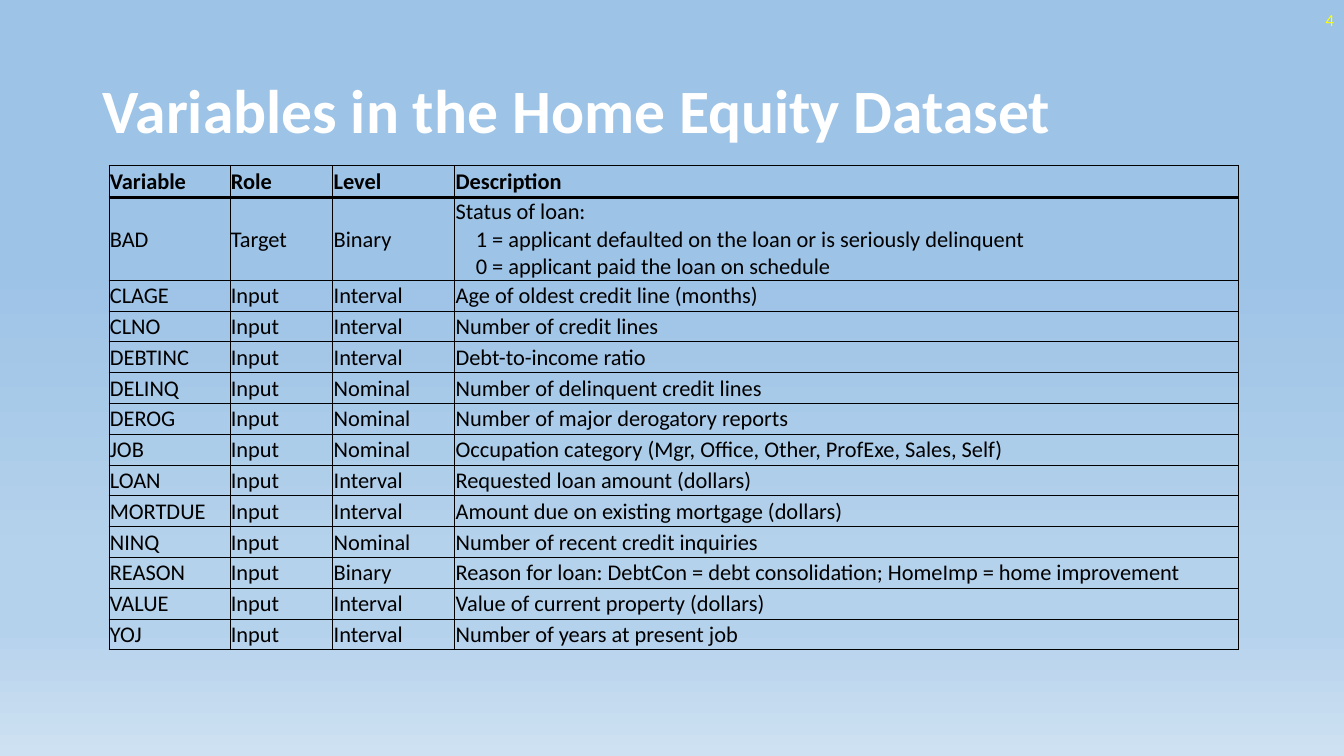
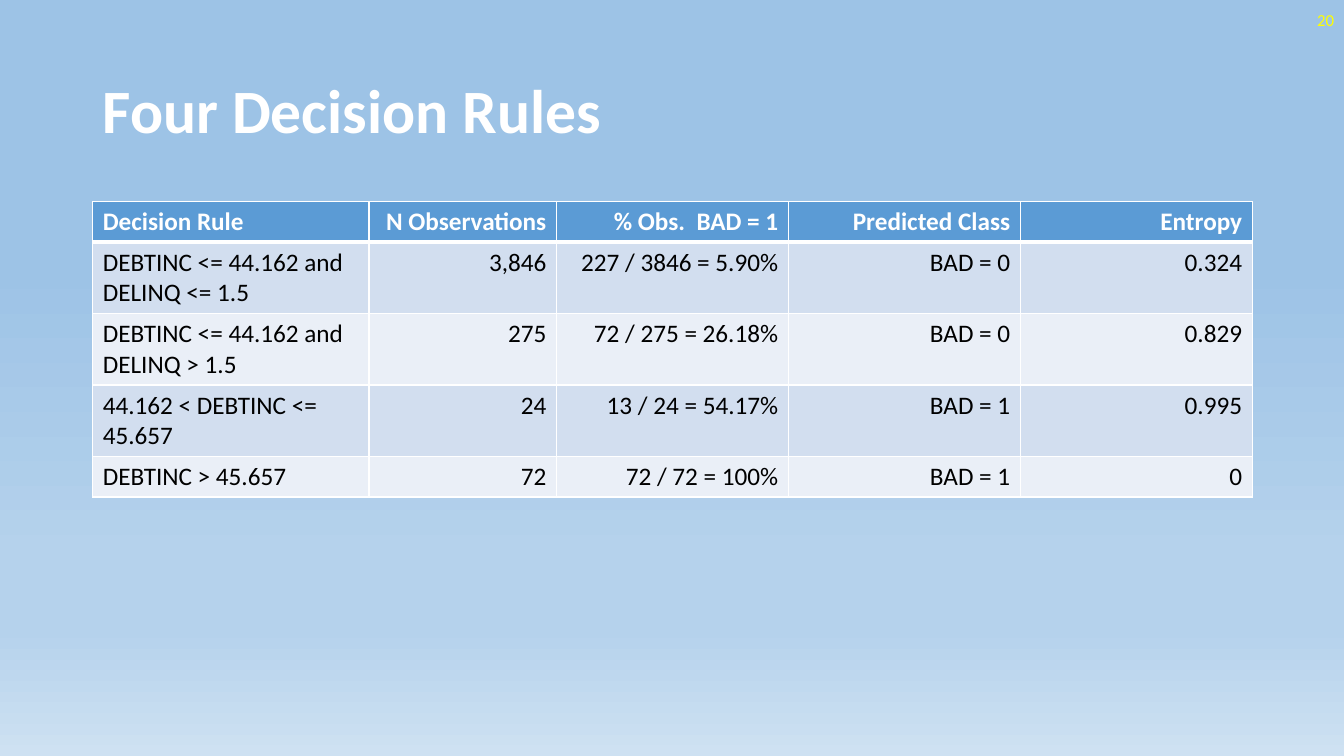
from dataclasses import dataclass

import pptx
import pptx.dml.color
import pptx.enum.text
import pptx.oxml
import pptx.oxml.ns
import pptx.slide
import pptx.table
import pptx.util

Inches = pptx.util.Inches
Pt = pptx.util.Pt
RGBColor = pptx.dml.color.RGBColor
ALIGN = pptx.enum.text.PP_ALIGN
ANCHOR = pptx.enum.text.MSO_ANCHOR

# Shared look
FONT = "Calibri"
WHITE = RGBColor(0xFF, 0xFF, 0xFF)
BLACK = RGBColor(0x00, 0x00, 0x00)
YELLOW = RGBColor(0xFF, 0xFF, 0x00)
BLUE = RGBColor(0x5B, 0x9B, 0xD5)
BAND_DARK = RGBColor(0xD2, 0xDE, 0xEF)
BAND_LIGHT = RGBColor(0xEA, 0xEF, 0xF7)
SKY_STOPS = (
    (35, RGBColor(0x9D, 0xC3, 0xE6)),
    (74, RGBColor(0xB5, 0xD2, 0xEC)),
    (83, RGBColor(0xB5, 0xD2, 0xEC)),
    (100, RGBColor(0xCE, 0xE1, 0xF2)),
)
STATUS_INDENT = Inches(0.2)


@dataclass(frozen=True)
class TableStyle:
    size: int
    header_color: RGBColor
    line_color: RGBColor
    line_width: float
    rule_width: float  # line under the header row
    header_fill: RGBColor | None = None
    bands: tuple[RGBColor, ...] = ()
    margins: tuple[float, float, float, float] = (0.1, 0.05, 0.1, 0.05)
    anchor: ANCHOR = ANCHOR.TOP
    number_align: ALIGN = ALIGN.LEFT  # every column but the first


@dataclass(frozen=True)
class TableSlide:
    title: str
    number: int
    left: float
    top: float
    columns: tuple[float, ...]
    row_heights: tuple[float, ...]
    rows: tuple[tuple[str, ...], ...]
    style: TableStyle


GRID = TableStyle(16, BLACK, BLACK, 0.5, 2, margins=(0.01, 0.01, 0.01, 0),
                  anchor=ANCHOR.MIDDLE)
BANDED = TableStyle(18, WHITE, WHITE, 1, 3, header_fill=BLUE,
                    bands=(BAND_DARK, BAND_LIGHT), number_align=ALIGN.RIGHT)

# Content: lines after the first in a cell are indented
VARIABLES = (
    ("Variable", "Role", "Level", "Description"),
    ("BAD", "Target", "Binary",
     "Status of loan:\n"
     "1 = applicant defaulted on the loan or is seriously delinquent\n"
     "0 = applicant paid the loan on schedule"),
    ("CLAGE", "Input", "Interval", "Age of oldest credit line (months)"),
    ("CLNO", "Input", "Interval", "Number of credit lines"),
    ("DEBTINC", "Input", "Interval", "Debt-to-income ratio"),
    ("DELINQ", "Input", "Nominal", "Number of delinquent credit lines"),
    ("DEROG", "Input", "Nominal", "Number of major derogatory reports"),
    ("JOB", "Input", "Nominal",
     "Occupation category (Mgr, Office, Other, ProfExe, Sales, Self)"),
    ("LOAN", "Input", "Interval", "Requested loan amount (dollars)"),
    ("MORTDUE", "Input", "Interval", "Amount due on existing mortgage (dollars)"),
    ("NINQ", "Input", "Nominal", "Number of recent credit inquiries"),
    ("REASON", "Input", "Binary",
     "Reason for loan: DebtCon = debt consolidation; HomeImp = home improvement"),
    ("VALUE", "Input", "Interval", "Value of current property (dollars)"),
    ("YOJ", "Input", "Interval", "Number of years at present job"),
)
RULES = (
    ("Decision Rule", "N Observations", "% Obs.  BAD = 1", "Predicted Class", "Entropy"),
    ("DEBTINC <= 44.162 and DELINQ <= 1.5", "3,846", "227 / 3846 = 5.90%", "BAD = 0", "0.324"),
    ("DEBTINC <= 44.162 and DELINQ > 1.5", "275", "72 / 275 = 26.18%", "BAD = 0", "0.829"),
    ("44.162 < DEBTINC <= 45.657", "24", "13 / 24 = 54.17%", "BAD = 1", "0.995"),
    ("DEBTINC > 45.657", "72", "72 / 72 = 100%", "BAD = 1", "0"),
)
HEADER_HEIGHT, STATUS_HEIGHT, VARIABLES_HEIGHT = 0.32, 0.82, 4.81
INPUT_COUNT = len(VARIABLES) - 2
INPUT_HEIGHT = (VARIABLES_HEIGHT - HEADER_HEIGHT - STATUS_HEIGHT) / INPUT_COUNT

SLIDES = (
    TableSlide("Variables in the Home Equity Dataset", 4, 1.08, 1.64,
               (1.2, 1.02, 1.21, 7.77),
               (HEADER_HEIGHT, STATUS_HEIGHT) + (INPUT_HEIGHT,) * INPUT_COUNT,
               VARIABLES, GRID),
    TableSlide("Four Decision Rules", 20, 0.92, 2, (2.74, 1.86, 2.3, 2.3, 2.3),
               (0.4, 0.71, 0.71, 0.71, 0.4), RULES, BANDED),
)


def paint_background(slide: pptx.slide.Slide) -> None:
    """Fill the slide with the vertical sky gradient."""
    fill = slide.background.fill
    fill.gradient()
    fill.gradient_angle = 270
    stops = slide.background._cSld.find(".//" + pptx.oxml.ns.qn("a:gsLst"))
    for stop in list(stops):
        stops.remove(stop)
    for percent, color in SKY_STOPS:
        stops.append(pptx.oxml.parse_xml(
            f'<a:gs {pptx.oxml.ns.nsdecls("a")} pos="{percent * 1000}">'
            f'<a:srgbClr val="{color}"/></a:gs>'))


def add_line(slide: pptx.slide.Slide, text: str, box: tuple[float, float, float, float],
             size: int, color: RGBColor, bold: bool = False,
             align: ALIGN = ALIGN.LEFT, spacing: float = 1.0) -> None:
    """Add a one-paragraph text box, centred vertically."""
    frame = slide.shapes.add_textbox(*map(Inches, box)).text_frame
    frame.word_wrap = True
    frame.vertical_anchor = ANCHOR.MIDDLE
    paragraph = frame.paragraphs[0]
    paragraph.text = text
    paragraph.alignment = align
    paragraph.line_spacing = spacing
    set_font(paragraph.font, size, color, bold)


def set_font(font, size: int, color: RGBColor, bold: bool) -> None:
    font.name = FONT
    font.size = Pt(size)
    font.bold = bold
    font.color.rgb = color


def set_border(cell: pptx.table._Cell, side: str, color: RGBColor, width: float) -> None:
    cell._tc.get_or_add_tcPr().append(pptx.oxml.parse_xml(
        f'<a:ln{side} {pptx.oxml.ns.nsdecls("a")} w="{Pt(width)}">'
        f'<a:solidFill><a:srgbClr val="{color}"/></a:solidFill></a:ln{side}>'))


def fill_cell(cell: pptx.table._Cell, text: str, row: int, column: int,
              style: TableStyle) -> None:
    is_header = row == 0
    cell.margin_left, cell.margin_top, cell.margin_right, cell.margin_bottom = map(
        Inches, style.margins)
    cell.vertical_anchor = style.anchor

    # Borders come before the fill
    widths = {"L": style.line_width, "R": style.line_width,
              "T": style.rule_width if row == 1 else style.line_width,
              "B": style.rule_width if is_header else style.line_width}
    for side, width in widths.items():
        set_border(cell, side, style.line_color, width)
    if is_header:
        color = style.header_fill
    else:
        color = style.bands[(row - 1) % len(style.bands)] if style.bands else None
    if color is None:
        cell.fill.background()
    else:
        cell.fill.solid()
        cell.fill.fore_color.rgb = color

    # Text
    cell.text = text
    for index, paragraph in enumerate(cell.text_frame.paragraphs):
        paragraph.alignment = style.number_align if column else ALIGN.LEFT
        if index:
            paragraph._p.get_or_add_pPr().set("marL", str(STATUS_INDENT))
        set_font(paragraph.font, style.size,
                 style.header_color if is_header else BLACK, is_header)


def add_data_table(slide: pptx.slide.Slide, content: TableSlide) -> None:
    table = slide.shapes.add_table(
        len(content.rows), len(content.columns), Inches(content.left), Inches(content.top),
        Inches(sum(content.columns)), Inches(sum(content.row_heights))).table
    table.horz_banding = False
    for column, width in zip(table.columns, content.columns):
        column.width = Inches(width)
    for row, height in zip(table.rows, content.row_heights):
        row.height = Inches(height)
    for row, texts in enumerate(content.rows):
        for column, text in enumerate(texts):
            fill_cell(table.cell(row, column), text, row, column, content.style)


def main() -> None:
    deck = pptx.Presentation()
    deck.slide_width, deck.slide_height = Inches(13.33), Inches(7.5)
    for content in SLIDES:
        slide = deck.slides.add_slide(deck.slide_layouts[6])
        paint_background(slide)
        add_line(slide, content.title, (0.92, 0.4, 11.5, 1.45), 44, WHITE,
                 bold=True, spacing=0.9)
        add_line(slide, str(content.number), (10.33, 0, 3, 0.4), 12, YELLOW,
                 align=ALIGN.RIGHT)
        add_data_table(slide, content)
    deck.save("out.pptx")


if __name__ == "__main__":
    main()
